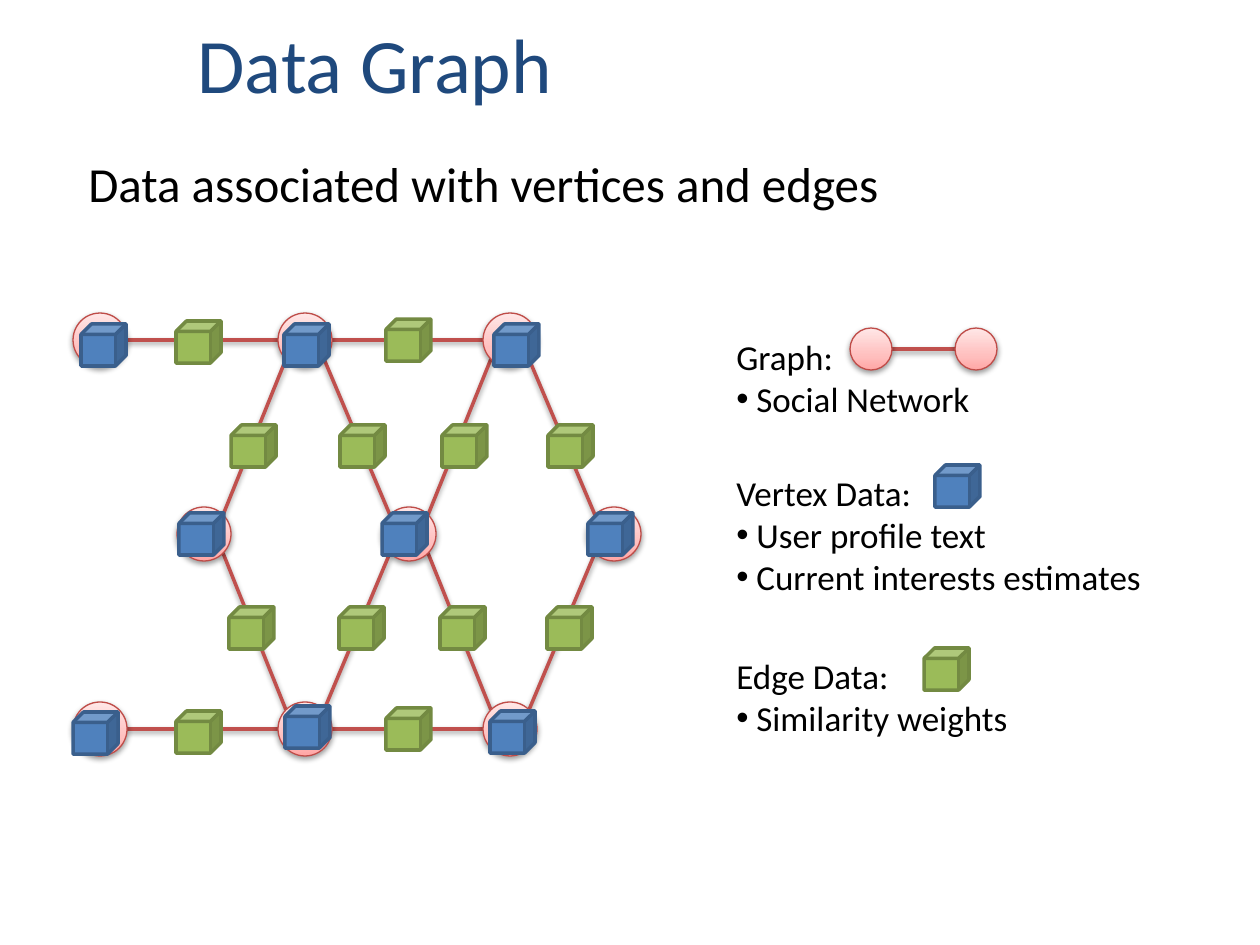
import pptx
import pptx.util
import pptx.oxml
import pptx.oxml.ns
from pptx.dml.color import RGBColor
from pptx.enum.shapes import MSO_CONNECTOR, MSO_SHAPE
from pptx.enum.text import MSO_ANCHOR, MSO_AUTO_SIZE, PP_ALIGN

PX = 914400 / 126  # EMU per px
FONT = "Calibri"
NAVY = RGBColor(0x1F, 0x49, 0x7D)
BLACK = RGBColor(0, 0, 0)
RED = RGBColor(0xC0, 0x50, 0x4D)
RIM = RGBColor(0xBF, 0x4C, 0x48)
VERTEX_DATA = (RGBColor(0x4F, 0x81, 0xBD), RGBColor(0x3A, 0x5F, 0x8C))
EDGE_DATA = (RGBColor(0x9B, 0xBB, 0x59), RGBColor(0x73, 0x8A, 0x42))
PINK_STOPS = [(0, "FFA6A5"), (35, "FFC0BF"), (100, "FFE7E7")]

# Content
TITLE = "Data Graph"
SUBTITLE = "Data associated with vertices and edges"
LEGEND = [  # top, heading, items
    (329, "Graph:", ["Social Network"]),
    (465, "Vertex Data:", ["User profile text", "Current interests estimates"]),
    (648, "Edge Data:", ["Similarity weights"]),
]

# Graph: three vertices in each row, the middle row moved half a pitch
PITCH, VERTEX_D, LEGEND_D = 205, 54, 42
ROWS = [(100, 340), (204, 534), (100, 729)]  # first centre of each row
VERTICES = {(row, col): (x + col * PITCH, y)
            for row, (x, y) in enumerate(ROWS) for col in range(3)}
EDGES = [((row, col), (row, col + 1)) for row in (0, 2) for col in (0, 1)]
EDGES += [((1, mid), (row, end)) for row in (0, 2)
          for mid, end in [(0, 1), (1, 1), (1, 2), (2, 2)]]

# Data cubes, left and top
CUBE_W, CUBE_H = 45, 42
VERTEX_CUBES = [(81, 324), (284, 324), (494, 324), (179, 513), (382, 513),
                (588, 513), (73, 712), (285, 706), (490, 711)]
EDGE_CUBES = [(176, 321), (386, 319), (176, 711), (386, 708)]
EDGE_CUBES += [(x, 425) for x in (231, 340, 442, 548)]
EDGE_CUBES += [(x, 607) for x in (229, 339, 440, 547)]
VERTEX_CUBES.append((935, 465))  # legend
EDGE_CUBES.append((924, 648))


def px(*lengths):
    return [round(n * PX) for n in lengths]


def xml(tag, inner, attrs=""):
    ns = pptx.oxml.ns.nsdecls("a")
    return pptx.oxml.parse_xml(f"<a:{tag} {ns} {attrs}>{inner}</a:{tag}>")


def add_shadow(sp):
    """Soft shadow straight below; goes after the line in spPr."""
    sp._element.spPr.append(xml("effectLst", (
        '<a:outerShdw blurRad="40000" dist="20000" dir="5400000" rotWithShape="0">'
        '<a:srgbClr val="000000"><a:alpha val="38000"/></a:srgbClr></a:outerShdw>')))


def set_line(sp, color, width):
    sp.line.color.rgb = color
    sp.line.width = pptx.util.Pt(width)


def add_edge(s, x1, y1, x2, y2):
    line = s.shapes.add_connector(MSO_CONNECTOR.STRAIGHT, *px(x1, y1, x2, y2))
    set_line(line, RED, 2)
    add_shadow(line)


def add_vertex(s, x, y, d):
    sp = s.shapes.add_shape(MSO_SHAPE.OVAL, *px(x - d / 2, y - d / 2, d, d))
    stops = "".join(f'<a:gs pos="{pos * 1000}"><a:srgbClr val="{c}"/></a:gs>'
                    for pos, c in PINK_STOPS)
    sp._element.spPr.prstGeom.addnext(xml(
        "gradFill", f'<a:gsLst>{stops}</a:gsLst><a:lin ang="16200000" scaled="0"/>',
        'rotWithShape="1"'))
    set_line(sp, RIM, 0.75)
    add_shadow(sp)


def add_cube(s, x, y, colors):
    sp = s.shapes.add_shape(MSO_SHAPE.CUBE, *px(x, y, CUBE_W, CUBE_H))
    sp.shadow.inherit = False
    sp.fill.solid()
    sp.fill.fore_color.rgb = colors[0]
    set_line(sp, colors[1], 2)


def write(p, text, size, color):
    r = p.add_run()
    r.text = text
    for name, value in {"name": FONT, "size": pptx.util.Pt(size)}.items():
        setattr(r.font, name, value)
    r.font.color.rgb = color


def add_text(s, box, size, heading, items=()):
    tf = s.shapes.add_textbox(*px(*box)).text_frame
    tf.word_wrap = True
    write(tf.paragraphs[0], heading, size, BLACK)
    for item in items:
        p = tf.add_paragraph()
        pPr = p._p.get_or_add_pPr()
        indent = px(20)[0]
        pPr.set("marL", str(indent))
        pPr.set("indent", str(-indent))
        pPr.append(xml("buFont", "", 'typeface="Arial"'))
        pPr.append(xml("buChar", "", 'char="•"'))
        write(p, item, size, BLACK)


def main():
    prs = pptx.Presentation()
    prs.slide_width, prs.slide_height = px(1260, 945)
    s = prs.slides.add_slide(prs.slide_layouts[5])

    # Title and subtitle
    title = s.shapes.title
    title.left, title.top, title.width, title.height = px(185, 10, 1033, 105)
    tf = title.text_frame
    for name, value in {"vertical_anchor": MSO_ANCHOR.BOTTOM, "word_wrap": True,
                        "auto_size": MSO_AUTO_SIZE.NONE}.items():
        setattr(tf, name, value)
    tf.paragraphs[0].alignment = PP_ALIGN.LEFT
    write(tf.paragraphs[0], TITLE, 44, NAVY)
    add_text(s, (76, 147, 1184, 72), 28, SUBTITLE)

    # Edges meet the circles at the side, or at 45 degrees between rows
    for a, b in EDGES:
        (x1, y1), (x2, y2) = VERTICES[a], VERTICES[b]
        dx, dy = VERTEX_D / 2, 0
        if y1 != y2:
            dx, dy = 19, 19 if y2 > y1 else -19
        if x2 < x1:
            dx = -dx
        add_edge(s, x1 + dx, y1 + dy, x2 - dx, y2 - dy)
    for x, y in VERTICES.values():
        add_vertex(s, x, y, VERTEX_D)

    # Data cubes
    for spots, colors in [(VERTEX_CUBES, VERTEX_DATA), (EDGE_CUBES, EDGE_DATA)]:
        for x, y in spots:
            add_cube(s, x, y, colors)

    # Legend
    for top, heading, items in LEGEND:
        add_text(s, (724, top, 504, 13 + 42 * (len(items) + 1)), 20, heading, items)
    add_edge(s, 892, 349, 955, 349)
    for x in (871, 976):
        add_vertex(s, x, 349, LEGEND_D)

    prs.save("out.pptx")


if __name__ == "__main__":
    main()
